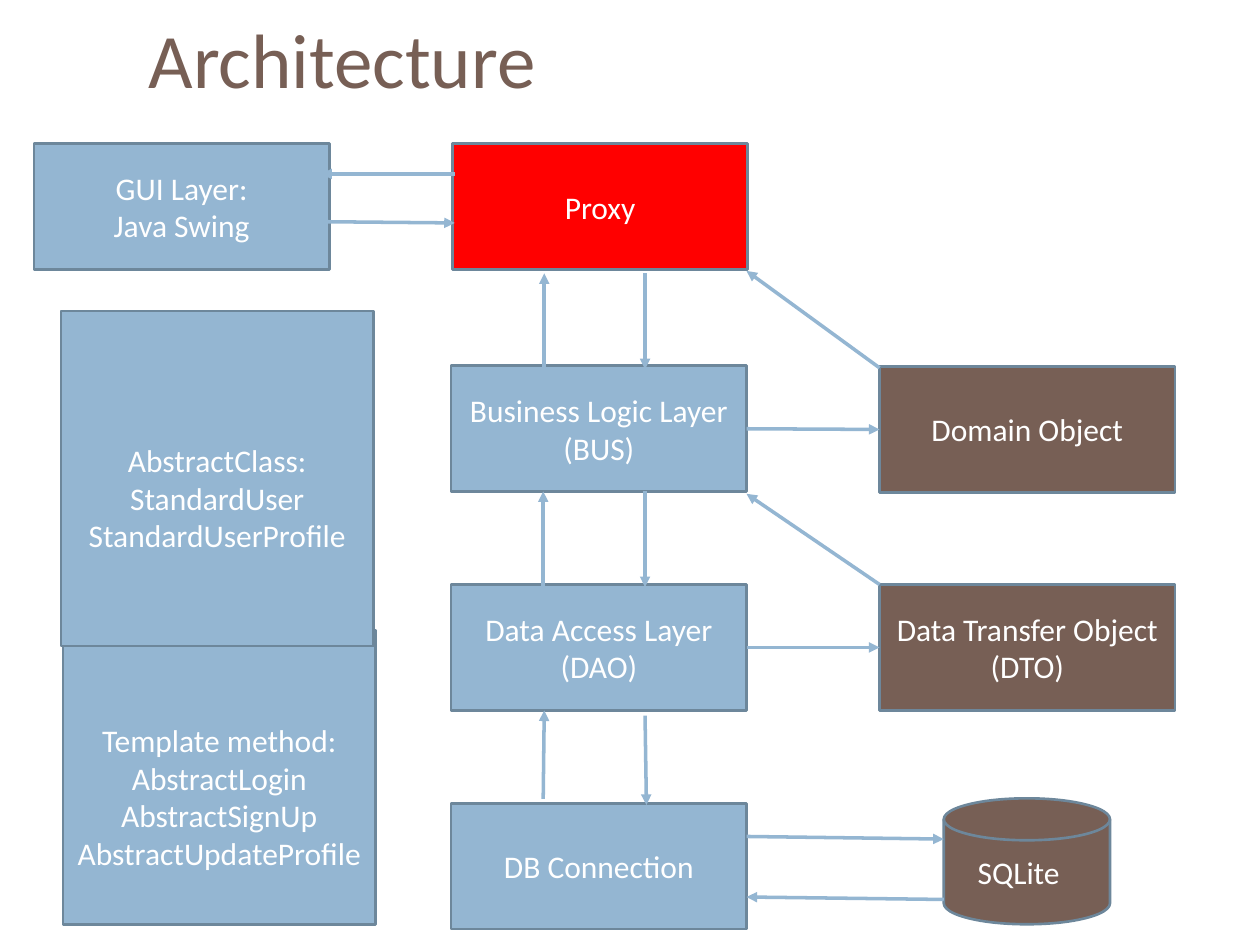
from lxml import etree
from pptx import Presentation
from pptx.dml.color import RGBColor
from pptx.enum.shapes import MSO_CONNECTOR, MSO_SHAPE
from pptx.enum.text import MSO_ANCHOR, PP_ALIGN
from pptx.oxml.ns import qn
from pptx.util import Pt

RECTANGLE = MSO_SHAPE.RECTANGLE
DISK = MSO_SHAPE.FLOWCHART_MAGNETIC_DISK
STRAIGHT = MSO_CONNECTOR.STRAIGHT
MIDDLE = MSO_ANCHOR.MIDDLE
LEFT, CENTER = PP_ALIGN.LEFT, PP_ALIGN.CENTER
LEFT_SIDE, RIGHT_SIDE = 1, 3

BLUE = RGBColor(0x94, 0xB6, 0xD2)
BROWN = RGBColor(0x77, 0x5F, 0x55)
RED = RGBColor(0xFF, 0x00, 0x00)
OUTLINE = RGBColor(0x6D, 0x87, 0x9B)
WHITE = RGBColor(0xFF, 0xFF, 0xFF)

BOX_WIDTH, BOX_HEIGHT = 168.8, 72
PANEL_WIDTH = 178.6
LAYER_LEFT, OBJECT_LEFT = 257.8, 502.6
LAYER_RIGHT = LAYER_LEFT + BOX_WIDTH
TITLE_FONT = {"name": "Calibri", "size": Pt(44)}
BOX_FONT = {"name": "Calibri", "size": Pt(18)}


def write_text(box, lines, font, color, alignment):
    frame = box.text_frame
    frame.word_wrap = True
    frame.vertical_anchor = MIDDLE
    for index, line in enumerate(lines):
        para = frame.paragraphs[0] if index == 0 else frame.add_paragraph()
        para.alignment = alignment
        span = para.add_run()
        span.text = line
        for name, value in font.items():
            setattr(span.font, name, value)
        span.font.color.rgb = color


def add_arrow(page, start_x, start_y, end_x, end_y):
    arrow = page.shapes.add_connector(
        STRAIGHT, Pt(start_x), Pt(start_y), Pt(end_x), Pt(end_y))
    arrow.line.color.rgb = BLUE
    arrow.line.width = Pt(2)
    etree.SubElement(arrow.line._get_or_add_ln(), qn("a:tailEnd"), type="triangle")
    etree.SubElement(arrow._element.spPr, qn("a:effectLst"))
    return arrow


deck = Presentation()
deck.slide_width, deck.slide_height = Pt(720), Pt(540)
page = deck.slides.add_slide(deck.slide_layouts[6])

title = page.shapes.add_textbox(Pt(77.8), Pt(-5.8), Pt(642.2), Pt(77.8))
write_text(title, ["Architecture"], TITLE_FONT, BROWN, LEFT)

# Lines of text, preset, fill, left, top, width, height
boxes = [
    (["Proxy"], RECTANGLE, RED, 258.5, 82, BOX_WIDTH, BOX_HEIGHT),
    (["Business Logic Layer (BUS)"], RECTANGLE, BLUE, LAYER_LEFT, 209, BOX_WIDTH, BOX_HEIGHT),
    (["Data Access Layer (DAO)"], RECTANGLE, BLUE, LAYER_LEFT, 334, BOX_WIDTH, BOX_HEIGHT),
    (["DB Connection"], RECTANGLE, BLUE, LAYER_LEFT, 459, BOX_WIDTH, BOX_HEIGHT),
    (["SQLite"], DISK, BROWN, 539.3, 456.2, 95, BOX_HEIGHT),
    (["Data Transfer Object (DTO)"], RECTANGLE, BROWN, OBJECT_LEFT, 334, BOX_WIDTH, BOX_HEIGHT),
    (["Domain Object"], RECTANGLE, BROWN, OBJECT_LEFT, 209.4, BOX_WIDTH, BOX_HEIGHT),
    (["GUI Layer:", "Java Swing"], RECTANGLE, BLUE, 19.4, 82, BOX_WIDTH, BOX_HEIGHT),
    (["Template method:", "AbstractLogin", "AbstractSignUp", "AbstractUpdateProfile"],
     RECTANGLE, BLUE, 36, 360, PANEL_WIDTH, 168.4),
    (["AbstractClass:", "StandardUser", "StandardUserProfile"],
     RECTANGLE, BLUE, 34.8, 177.8, PANEL_WIDTH, 191.4),
]
box_by_name = {}
for lines, preset, fill, left, top, width, height in boxes:
    box = page.shapes.add_shape(preset, Pt(left), Pt(top), Pt(width), Pt(height))
    box.shadow.inherit = False
    box.fill.solid()
    box.fill.fore_color.rgb = fill
    box.line.color.rgb = OUTLINE
    box.line.width = Pt(1.5)
    write_text(box, lines, BOX_FONT, WHITE, LEFT if preset == DISK else CENTER)
    if preset == DISK:
        box.text_frame.margin_left = Pt(19.4)
    if width == PANEL_WIDTH:
        box.text_frame.margin_top = Pt(25.2)
    box_by_name[lines[0]] = box

# Start x, start y, end x, end y
arrows = [
    (311, 211, 311, 156.2),
    (368.6, 156.2, 368.6, 211),
    (310.4, 335.5, 310.4, 280.8),
    (368.6, 280.8, 368.6, 335.5),
    (368.6, 409, 369.4, 460),
    (310.4, 456.5, 311, 406),
    (LAYER_RIGHT, 478, 539.3, 479.5),
    (539.3, 514, LAYER_RIGHT, 512.6),
    (OBJECT_LEFT, 334, LAYER_RIGHT, 282.2),
    (OBJECT_LEFT, 210.2, LAYER_RIGHT, 154.8),
    (183.6, 126.7, 259.9, 127.4),
    (259.9, 99.4, 183.6, 99.4),
]
for ends in arrows:
    add_arrow(page, *ends)

for layer, target in [("Business Logic Layer (BUS)", "Domain Object"),
                      ("Data Access Layer (DAO)", "Data Transfer Object (DTO)")]:
    arrow = add_arrow(page, 0, 0, 0, 0)
    arrow.begin_connect(box_by_name[layer], RIGHT_SIDE)
    arrow.end_connect(box_by_name[target], LEFT_SIDE)

deck.save("out.pptx")
